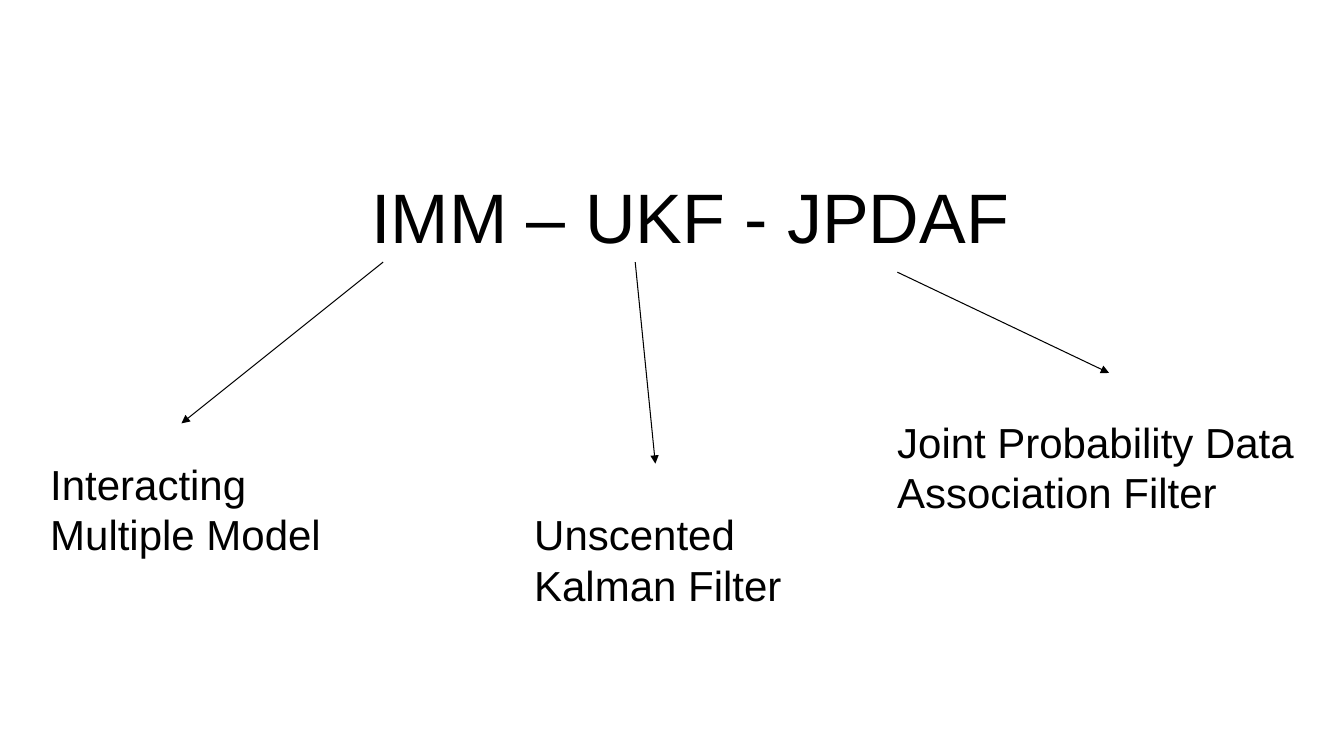
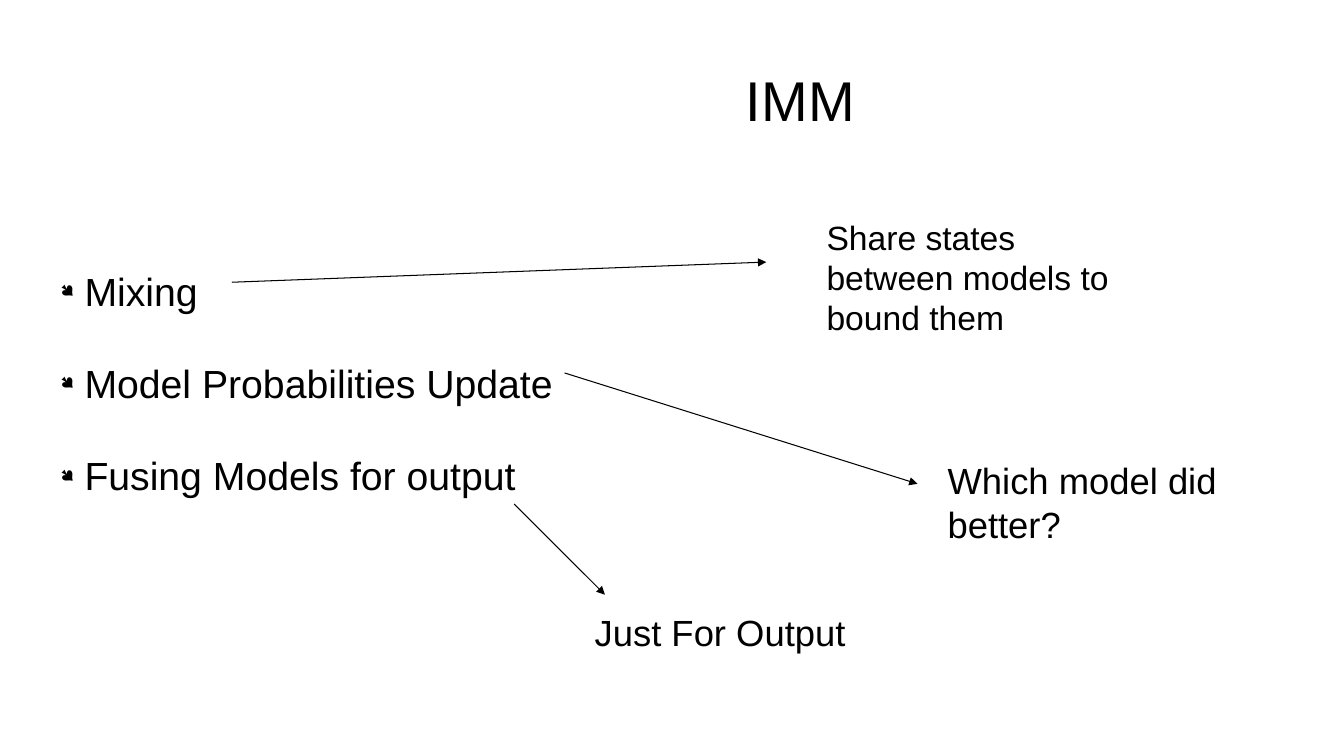
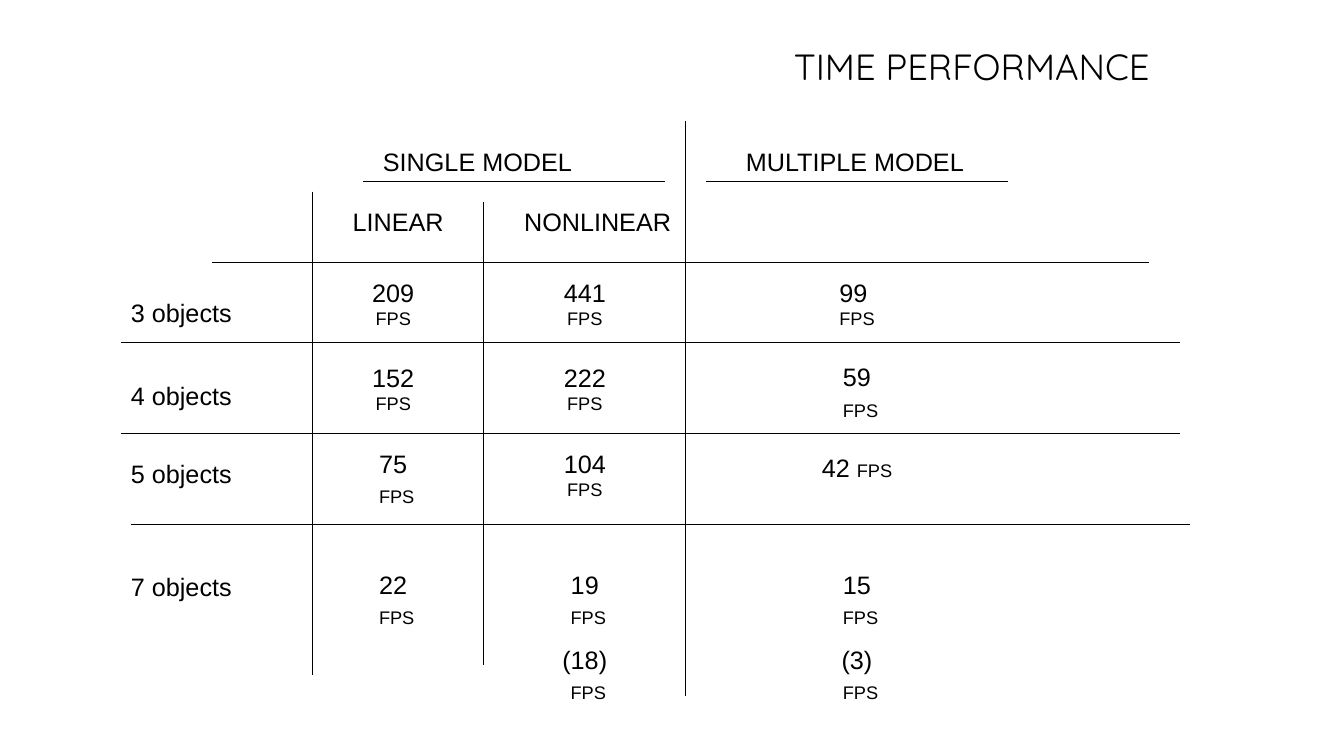
from lxml.etree import SubElement
from pptx import Presentation
from pptx.dml.color import RGBColor
from pptx.enum.shapes import MSO_CONNECTOR
from pptx.enum.text import MSO_ANCHOR, PP_ALIGN
from pptx.oxml.ns import qn
from pptx.util import Inches, Pt

BLACK = "000000"
BODY_FONT = "Arial"
TITLE_FONT = "Quicksand"
LABEL_SIZE = 18
UNIT_SIZE = 13

FILTER_TITLE = ("IMM – UKF - JPDAF", (1.8, 1.67, 10.1, 2.83), 50)
FILTER_NAMES = [
    ("Interacting Multiple Model", (0.4, 4.5, 3.1, 1.03), 30),
    ("Unscented Kalman Filter", (5.2, 5, 3, 1.1), 30),
    ("Joint Probability Data Association Filter", (8.8, 4.08, 4.4, 2.42), 30),
]
FILTER_ARROWS = [
    (3.8, 2.6, 1.8, 4.2),
    (6.3, 2.6, 6.5, 4.6),
    (8.9, 2.7, 11, 3.7),
]

IMM_STEPS = "Mixing\nModel Probabilities Update\nFusing Models for output"
IMM_TEXTS = [
    ("IMM", (7.3, 0.6, 2.9, 0.72), 40),
    ("Which model did better?", (9.3, 4.5, 3, 0.91), 26),
    ("Share states between models to bound them", (8.1, 2.1, 3.1, 1.21), 24),
    ("Just For Output", (5.8, 6, 3.2, 0.91), 26),
]
IMM_ARROWS = [
    (5.6, 3.7, 9.1, 4.8),
    (2.3, 2.8, 7.6, 2.6),
    (5.1, 5, 6, 5.9),
]

HEADINGS = [
    ("SINGLE MODEL", (3.7, 1.4, 2.1, 0.4)),
    ("MULTIPLE MODEL", (7.3, 1.4, 2.4, 0.66)),
    ("LINEAR", (3.4, 2, 1.5, 0.38)),
    ("NONLINEAR", (5.1, 2, 1.7, 0.66)),
]
ROW_LABELS = [("3 objects", 2.9), ("4 objects", 3.72), ("5 objects", 4.5), ("7 objects", 5.62)]
COLUMN_LEFTS = [3.4, 5.3, 8]
FPS_ROWS = [
    (2.7, ["209 ", "441 ", "99 \n"]),
    (3.54, ["152 ", "222 ", "59\n "]),
    (4.4, ["75\n ", "104 ", None]),
    (4.44, [None, None, "42 "]),
    (5.6, ["22\n ", "19\n ", "15\n "]),
    (6.34, [None, "(18)\n ", "(3)\n "]),
]
HORIZONTAL_RULES = [
    (1.8, 3.6, 6.6),
    (1.8, 7, 10),
    (2.6, 2.1, 11.4),
    (3.4, 1.2, 11.7),
    (4.3, 1.2, 11.7),
    (5.2, 1.3, 11.8),
]
VERTICAL_RULES = [(3.1, 1.9, 6.7), (4.8, 2, 6.6), (6.8, 1.2, 6.9)]


def rgb(value):
    return RGBColor.from_string(value)


def style_run(r, size, font=BODY_FONT):
    r.font.size = Pt(size)
    r.font.name = font
    r.font.color.rgb = rgb(BLACK)


def add_text(s, text, box, size, align=PP_ALIGN.LEFT, font=BODY_FONT):
    tf = s.shapes.add_textbox(*map(Inches, box)).text_frame
    tf.word_wrap = True
    tf.text = text
    for p in tf.paragraphs:
        p.alignment = align
        for r in p.runs:
            style_run(r, size, font)
    return tf


def add_line(s, x1, y1, x2, y2, arrow=False):
    line = s.shapes.add_connector(MSO_CONNECTOR.STRAIGHT, *map(Inches, (x1, y1, x2, y2)))
    line.line.color.rgb = rgb(BLACK)
    line.line.width = Pt(0.75)
    if arrow:
        SubElement(line.line._get_or_add_ln(), qn("a:tailEnd"), type="triangle")
    SubElement(line.element.spPr, qn("a:effectLst"))


def add_bullet(p):
    pPr = p._p.get_or_add_pPr()
    pPr.set("marL", str(Inches(0.24)))
    pPr.set("indent", str(-Inches(0.24)))
    SubElement(SubElement(pPr, qn("a:buClr")), qn("a:srgbClr"), val=BLACK)
    SubElement(pPr, qn("a:buSzPct"), val="45000")
    SubElement(pPr, qn("a:buFont"), typeface="Wingdings")
    SubElement(pPr, qn("a:buChar"), char="●")


def add_fps(s, value, left, top):
    height = 0.66 if "\n" in value else 0.58
    tf = add_text(s, value, (left, top, 1, height), LABEL_SIZE, PP_ALIGN.CENTER)
    r = tf.paragraphs[-1].add_run()
    r.text = "FPS"
    style_run(r, UNIT_SIZE)


def build_filter_slide(s):
    add_text(s, *FILTER_TITLE, PP_ALIGN.CENTER)
    for arrow in FILTER_ARROWS:
        add_line(s, *arrow, arrow=True)
    for name in FILTER_NAMES:
        add_text(s, *name)


def build_imm_slide(s):
    steps = add_text(s, IMM_STEPS, (0.5, 2.6, 9.5, 3.73), 28)
    for p in steps.paragraphs:
        p.space_after = Pt(32.2)
        add_bullet(p)
    for text in IMM_TEXTS:
        add_text(s, *text)
    for arrow in IMM_ARROWS:
        add_line(s, *arrow, arrow=True)


def build_time_slide(s):
    title = add_text(s, "TIME PERFORMANCE", (6.78, 0.2, 5.72, 0.91), 26, PP_ALIGN.CENTER, TITLE_FONT)
    title.vertical_anchor = MSO_ANCHOR.MIDDLE
    title.margin_left = title.margin_right = title.margin_top = title.margin_bottom = 0
    for y, left, right in HORIZONTAL_RULES:
        add_line(s, left, y, right, y)
    for x, top, bottom in VERTICAL_RULES:
        add_line(s, x, top, x, bottom)
    for heading, box in HEADINGS:
        add_text(s, heading, box, LABEL_SIZE)
    for label, top in ROW_LABELS:
        add_text(s, label, (1.2, top, 1.6, 0.38), LABEL_SIZE)
    for top, values in FPS_ROWS:
        for left, value in zip(COLUMN_LEFTS, values):
            if value:
                add_fps(s, value, left, top)


def main():
    prs = Presentation()
    prs.slide_width, prs.slide_height = Inches(13.33), Inches(7.5)
    for build in (build_filter_slide, build_imm_slide, build_time_slide):
        build(prs.slides.add_slide(prs.slide_layouts[6]))
    prs.save("out.pptx")


if __name__ == "__main__":
    main()
